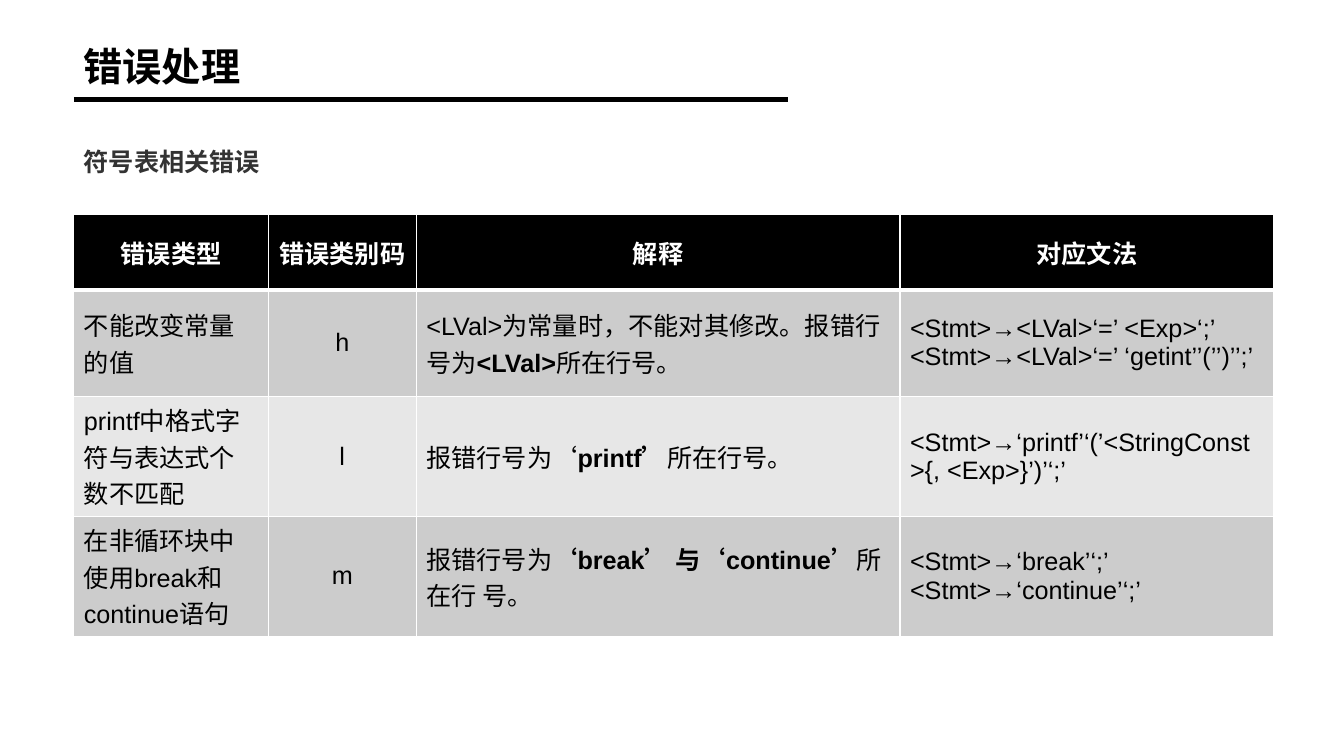
from lxml.etree import SubElement
from pptx import Presentation
from pptx.dml.color import RGBColor
from pptx.enum.shapes import MSO_CONNECTOR
from pptx.enum.text import MSO_ANCHOR, PP_ALIGN
from pptx.oxml import parse_xml
from pptx.oxml.ns import nsdecls, qn
from pptx.util import Cm, Pt

COLORS = {"black": "000000", "white": "FFFFFF", "heading": "333333",
          "dark_band": "CCCCCC", "light_band": "E7E7E7"}
CJK_FONT = "Noto Sans CJK SC"
LEFT = 1.86
COLUMN_WIDTHS = [4.9, 3.73, 12.19, 9.42]
ROW_HEIGHTS = [1.9, 2.69, 3.02, 3.02]
CENTERED_COLUMN = 1

HEADER = ["错误类型", "错误类别码", "解释", "对应文法"]
ERRORS = [
    ["不能改变常量的值", "h",
     [[("<LVal>为常量时，不能对其修改。报错行号为", False), ("<LVal>", True), ("所在行号。", False)]],
     ["<Stmt>→<LVal>‘=’ <Exp>‘;’", "<Stmt>→<LVal>‘=’ ‘getint’’(’’)’’;’"]],
    ["printf中格式字符与表达式个数不匹配", "l",
     [[("报错行号为‘", False), ("printf’", True), ("所在行号。", False)]],
     "<Stmt>→‘printf’‘(’<StringConst >{, <Exp>}’)’‘;’"],
    [["在非循环块中使用break和", "continue语句"], "m",
     [[("报错行号为", False), ("‘break’ 与‘continue’", True), ("所在行 号。", False)]],
     ["<Stmt>→‘break’‘;’", "<Stmt>→‘continue’‘;’"]],
]


def write_text(frame, text, size=18, color="black", bold=False, font="Arial",
               align=PP_ALIGN.LEFT, spacing=None):
    paragraphs = [text] if isinstance(text, str) else text
    for index, content in enumerate(paragraphs):
        paragraph = frame.add_paragraph() if index else frame.paragraphs[0]
        paragraph.alignment = align
        if spacing:
            paragraph.line_spacing = spacing
        pieces = [(content, bold)] if isinstance(content, str) else content
        for words, is_bold in pieces:
            run = paragraph.add_run()
            run.text = words
            run.font.size = Pt(size)
            run.font.name = font
            run.font.bold = is_bold
            run.font.color.rgb = RGBColor.from_string(COLORS[color])
            SubElement(run.font._element, qn("a:ea")).set("typeface", CJK_FONT)


class SlideBuilder:
    """Holds the style and the current slide."""

    def __init__(self, presentation):
        self.slide = presentation.slides.add_slide(presentation.slide_layouts[6])

    def text(self, left, top, width, height, text, **style):
        frame = self.slide.shapes.add_textbox(Cm(left), Cm(top), Cm(width), Cm(height)).text_frame
        frame.word_wrap = True
        write_text(frame, text, **style)

    def rule(self, left, top, width, weight):
        line = self.slide.shapes.add_connector(
            MSO_CONNECTOR.STRAIGHT, Cm(left), Cm(top), Cm(left + width), Cm(top))
        line.line.color.rgb = RGBColor.from_string(COLORS["black"])
        line.line.width = Pt(weight)
        SubElement(line._element.spPr, qn("a:effectLst"))

    def borders(self, cell, top, bottom):
        properties = cell._tc.get_or_add_tcPr()
        weights = {"lnL": 1, "lnR": 1, "lnT": top, "lnB": bottom}
        for index, (side, weight) in enumerate(weights.items()):
            properties.insert(index, parse_xml(
                f'<a:{side} {nsdecls("a")} w="{Pt(weight)}"><a:solidFill>'
                f'<a:srgbClr val="{COLORS["white"]}"/></a:solidFill></a:{side}>'))

    def cell(self, cell, text, fill, **style):
        cell.fill.solid()
        cell.fill.fore_color.rgb = RGBColor.from_string(COLORS[fill])
        cell.vertical_anchor = MSO_ANCHOR.MIDDLE
        write_text(cell.text_frame, text, **style)

    def table(self, left, top, rows):
        table = self.slide.shapes.add_table(
            len(rows), len(COLUMN_WIDTHS), Cm(left), Cm(top),
            Cm(sum(COLUMN_WIDTHS)), Cm(sum(ROW_HEIGHTS))).table
        table.horz_banding = False
        for column, width in zip(table.columns, COLUMN_WIDTHS):
            column.width = Cm(width)
        for row_index, texts in enumerate(rows):
            table.rows[row_index].height = Cm(ROW_HEIGHTS[row_index])
            is_header = row_index == 0
            band = "dark_band" if row_index % 2 else "light_band"
            for column_index, text in enumerate(texts):
                cell = table.cell(row_index, column_index)
                centered = is_header or column_index == CENTERED_COLUMN
                self.cell(cell, text, "black" if is_header else band, bold=is_header,
                          color="white" if is_header else "black",
                          align=PP_ALIGN.CENTER if centered else PP_ALIGN.LEFT)
                self.borders(cell, top=3 if row_index == 1 else 1, bottom=3 if is_header else 1)


def main():
    presentation = Presentation()
    presentation.slide_width = Cm(33.87)
    presentation.slide_height = Cm(19.05)
    builder = SlideBuilder(presentation)
    builder.text(LEFT, 1.07, 30.15, 1.78, "错误处理", size=28, bold=True, spacing=0.9)
    builder.rule(LEFT, 2.51, 18.01, 3)
    builder.table(LEFT, 5.4, [HEADER] + ERRORS)
    builder.text(LEFT, 3.56, 6.81, 1.02, "符号表相关错误", color="heading", bold=True, font=CJK_FONT)
    presentation.save("out.pptx")


if __name__ == "__main__":
    main()
